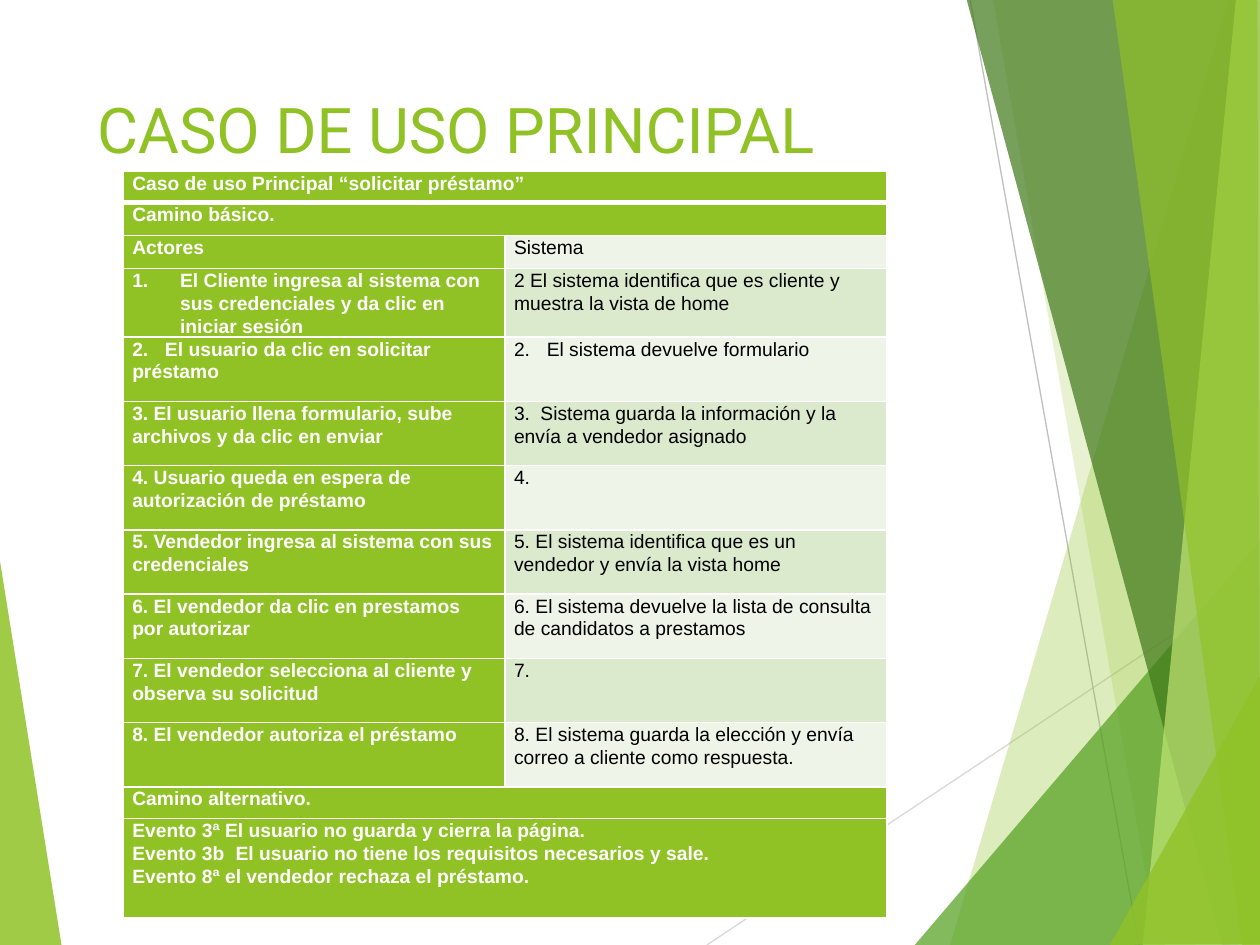
from lxml.etree import SubElement
from pptx import Presentation
from pptx.dml.color import RGBColor
from pptx.enum.shapes import MSO_CONNECTOR
from pptx.enum.text import MSO_ANCHOR, MSO_AUTO_SIZE, PP_ALIGN
from pptx.oxml.ns import qn
from pptx.util import Inches, Pt

WIDTH, HEIGHT = Inches(10), Inches(7.5)
COLORS = {
    "lime": "90C226", "green": "54A021", "forest": "3F7819", "light": "C0E474",
    "white": "FFFFFF", "black": "000000", "pale": "EEF4E8", "soft": "DBE9CD",
    "silver": "D9D9D9", "gray": "BFBFBF",
}
LINES = [
    ("silver", (56.1, 100), (100.1, 60.93)),
    ("gray", (77, 0), (90.4, 100)),
]
LEFT_FACET = ("lime", 85, [(-0.1, 58.53), (4.9, 100.13), (-0.1, 100)])
RIGHT_FACETS = [
    ("lime", 30, [(97.5, 0), (75.4, 100), (100.2, 100.13), (100.1, 0.13)]),
    ("lime", 20, [(78.8, -0.13), (91.9, 100), (100.1, 100), (100.1, -0.13)]),
    ("green", 72, [(72.6, 100), (100, 57.2), (100.1, 100)]),
    ("forest", 70, [(76.7, -0.13), (97, 100), (100.1, 99.87), (100.1, -0.13)]),
    ("light", 70, [(98.1, -0.13), (90.7, 100), (100.1, 100), (100, -0.13)]),
    ("lime", 65, [(88.3, -0.13), (98.6, 100), (100, 100), (99.8, -0.13)]),
    ("lime", 80, [(88.1, 100), (100.1, 71.33), (100.1, 99.87)]),
]
ROWS = [
    (3.33, ["Caso de uso Principal “solicitar préstamo”"]),
    (3.47, ["Camino básico."]),
    (3.47, ["Actores", "Sistema"]),
    (6.93, ["El Cliente ingresa al sistema con sus credenciales y da clic en iniciar sesión",
            "2 El sistema identifica que es cliente y muestra la vista de home"]),
    (6.8, ["2.\tEl usuario da clic en solicitar préstamo",
           "2.\tEl sistema devuelve formulario"]),
    (6.8, ["3. El usuario llena formulario, sube archivos y da clic en enviar",
           "3.\tSistema guarda la información y la envía a vendedor asignado"]),
    (6.8, ["4. Usuario queda en espera de autorización de préstamo", "4."]),
    (6.8, ["5. Vendedor ingresa al sistema con sus credenciales",
           "5. El sistema identifica que es un vendedor y envía la vista home"]),
    (6.8, ["6. El vendedor da clic en prestamos por autorizar",
           "6. El sistema devuelve la lista de consulta de candidatos a prestamos"]),
    (6.8, ["7. El vendedor selecciona al cliente y observa su solicitud", "7."]),
    (6.8, ["8. El vendedor autoriza el préstamo",
           "8. El sistema guarda la elección y envía correo a cliente como respuesta."]),
    (3.33, ["Camino alternativo."]),
    (10.53, ["Evento 3ª El usuario no guarda y cierra la página.\n"
             "Evento 3b\tEl usuario no tiene los requisitos necesarios y sale.\n"
             "Evento 8ª el vendedor rechaza el préstamo."]),
]
FIRST_STEP = 3
TAB_STOPS = {"2.": 0.26, "3.": 0.21, "Evento 3b": 0.82}


def across(percent):
    return round(WIDTH * percent / 100)


def down(percent):
    return round(HEIGHT * percent / 100)


def color(name):
    return RGBColor.from_string(COLORS[name])


def write(para, text, size=11, font="Arial", ink="white", bold=False, spacing=1.0):
    para.alignment = PP_ALIGN.LEFT
    para.line_spacing = spacing
    span = para.add_run()
    span.text = text
    span.font.size = Pt(size)
    span.font.name = font
    span.font.bold = bold
    span.font.color.rgb = color(ink)


def add_facet(page, fill, opacity, corners):
    points = [(across(x), down(y)) for x, y in corners]
    builder = page.shapes.build_freeform(*points[0])
    builder.add_line_segments(points[1:], close=True)
    shape = builder.convert_to_shape()
    shape.shadow.inherit = False
    shape.line.fill.background()
    shape.fill.solid()
    shape.fill.fore_color.rgb = color(fill)
    tint = shape.fill._xPr.find(qn("a:solidFill"))[0]
    SubElement(tint, qn("a:alpha"), val=str(opacity * 1000))


def add_line(page, ink, start, end):
    line = page.shapes.add_connector(
        MSO_CONNECTOR.STRAIGHT,
        across(start[0]), down(start[1]), across(end[0]), down(end[1]))
    line.line.color.rgb = color(ink)
    line.line.width = Pt(0.75)
    SubElement(line._element.spPr, qn("a:effectLst"))


def set_title(page, text):
    title = page.shapes.title
    title.left, title.top = across(6.7), down(8.93)
    title.width, title.height = across(69.4), down(19.2)
    frame = title.text_frame
    frame.word_wrap = True
    frame.auto_size = MSO_AUTO_SIZE.NONE
    frame.vertical_anchor = MSO_ANCHOR.TOP
    write(frame.paragraphs[0], text, size=36, font="Roboto", ink="lime")
    title._element.getparent().append(title._element)


def set_borders(cell, top, bottom):
    properties = cell._tc.get_or_add_tcPr()
    for side, points in (("L", 1), ("R", 1), ("T", top), ("B", bottom)):
        edge = SubElement(properties, qn("a:ln" + side), w=str(Pt(points)))
        fill = SubElement(edge, qn("a:solidFill"))
        SubElement(fill, qn("a:srgbClr"), val=COLORS["white"])


def add_number(para):
    properties = para._p.get_or_add_pPr()
    properties.set("marL", str(Inches(0.38)))
    properties.set("indent", str(-Inches(0.38)))
    SubElement(properties, qn("a:buAutoNum"), type="arabicPeriod")


def add_tab_stop(para, inches):
    stops = SubElement(para._p.get_or_add_pPr(), qn("a:tabLst"))
    SubElement(stops, qn("a:tab"), pos=str(Inches(inches)), algn="l")


def fill_cell(cell, text, back, ink, bold):
    cell.margin_left = cell.margin_right = Inches(0.07)
    cell.margin_top = cell.margin_bottom = 0
    cell.fill.solid()
    cell.fill.fore_color.rgb = color(back)
    frame = cell.text_frame
    for index, line in enumerate(text.split("\n")):
        para = frame.add_paragraph() if index else frame.paragraphs[0]
        write(para, line, ink=ink, bold=bold, spacing=1.07)
        if "\t" in line:
            add_tab_stop(para, TAB_STOPS[line.split("\t")[0]])


def add_use_case(page):
    height = sum(share for share, texts in ROWS)
    table = page.shapes.add_table(
        len(ROWS), 2, across(9.8), down(18.13), across(60.6), down(height)).table
    table.first_row = table.horz_banding = False
    for index, (share, texts) in enumerate(ROWS):
        table.rows[index].height = down(share)
        cells = [table.cell(index, column) for column in range(2)]
        for cell in cells:
            set_borders(cell, 3 if index == 1 else 1, 1 if index else 3)
        if len(texts) == 1:
            cells[0].merge(cells[1])
        fill_cell(cells[0], texts[0], "lime", "white", True)
        if len(texts) == 2:
            fill_cell(cells[1], texts[1], "soft" if index % 2 else "pale", "black", False)
    add_number(table.cell(FIRST_STEP, 0).text_frame.paragraphs[0])


def main():
    deck = Presentation()
    deck.slide_width, deck.slide_height = WIDTH, HEIGHT
    page = deck.slides.add_slide(deck.slide_layouts[5])
    add_facet(page, *LEFT_FACET)
    for line in LINES:
        add_line(page, *line)
    for facet in RIGHT_FACETS:
        add_facet(page, *facet)
    set_title(page, "CASO DE USO PRINCIPAL")
    add_use_case(page)
    deck.save("out.pptx")


main()
